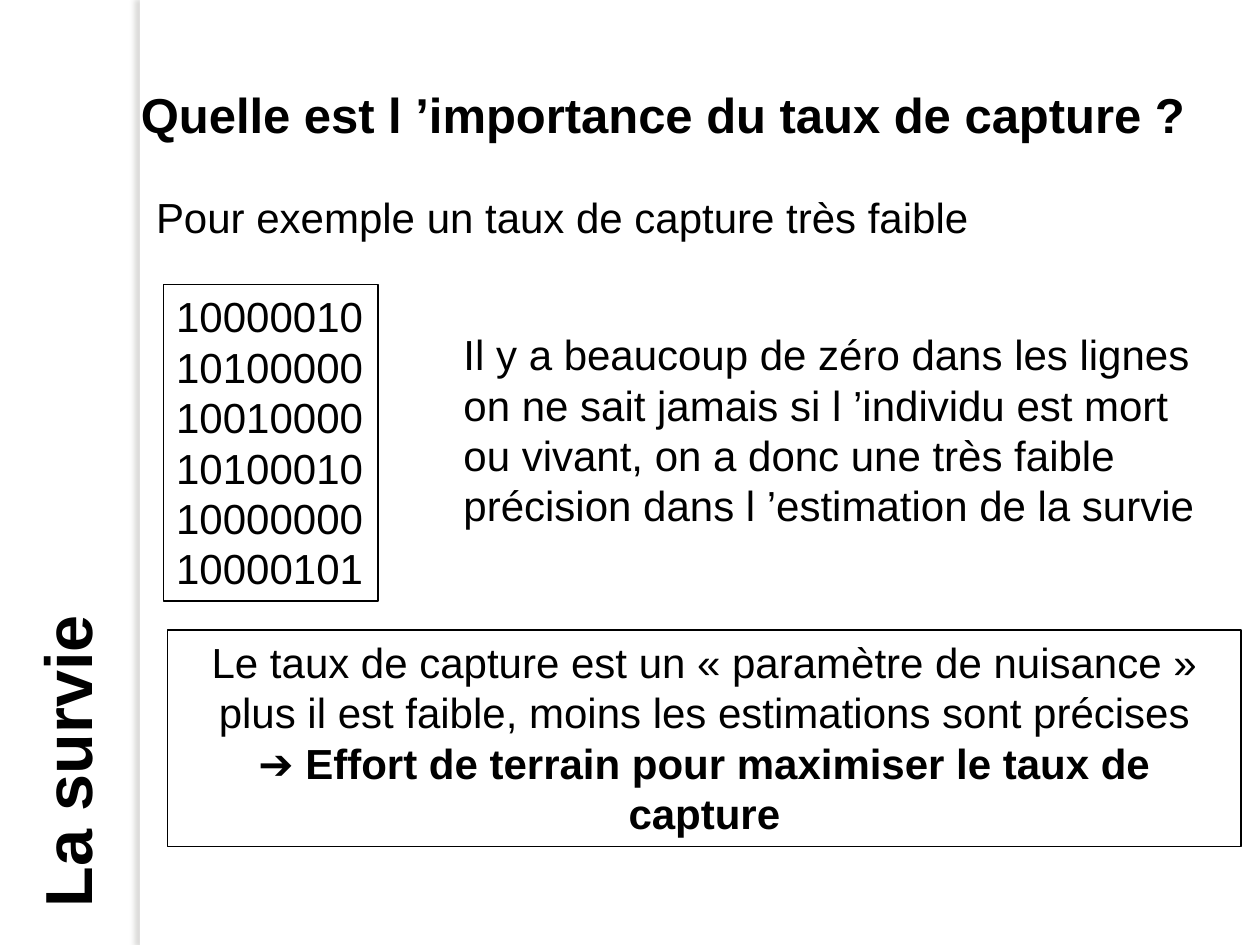
from dataclasses import dataclass

from lxml import etree
from pptx import Presentation, util as u
from pptx.dml.color import RGBColor
from pptx.enum import shapes, text
from pptx.oxml import ns

FONT = "Arial"
BLACK = "000000"
WHITE = "FFFFFF"
SHADE = "77756F"
LEFT = text.PP_ALIGN.LEFT
MID = text.PP_ALIGN.CENTER


@dataclass
class Block:
    """A text block; each line is a list of (words, bold) runs."""
    box: tuple[float, float, float, float]
    lines: list[list[tuple[str, bool]]]
    size: int = 24
    align: text.PP_ALIGN = LEFT
    wrap: bool = True
    frame: bool = False
    turn: int = 0


def paint(target, color: str) -> None:
    target.rgb = RGBColor.from_string(color)


def plain(*lines: str) -> list[list[tuple[str, bool]]]:
    return [[(line, False)] for line in lines]


def draw_bar(slide) -> None:
    """White strip with a soft shadow cast to its left."""
    bar = slide.shapes.add_shape(
        shapes.MSO_SHAPE.RECTANGLE, u.Inches(1.11), 0, u.Inches(0.08), u.Inches(7.5))
    bar.shadow.inherit = False
    bar.fill.solid()
    paint(bar.fill.fore_color, WHITE)
    bar.line.fill.background()
    effects = bar._element.spPr.find(ns.qn("a:effectLst"))
    cast = etree.SubElement(
        effects, ns.qn("a:outerShdw"), blurRad=str(u.Pt(3)), dist=str(u.Pt(3)),
        dir=str(180 * 60000), algn="ctr", rotWithShape="0")
    tone = etree.SubElement(cast, ns.qn("a:srgbClr"), val=SHADE)
    etree.SubElement(tone, ns.qn("a:alpha"), val="25000")


def draw_block(slide, block: Block) -> None:
    shape = slide.shapes.add_textbox(*map(u.Inches, block.box))
    shape.rotation = block.turn
    if block.frame:
        paint(shape.line.color, BLACK)
        shape.line.width = u.Pt(0.75)
    body = shape.text_frame
    body.word_wrap = block.wrap
    body.auto_size = text.MSO_AUTO_SIZE.SHAPE_TO_FIT_TEXT
    body.text = "\n".join("" for _ in block.lines)
    for para, line in zip(body.paragraphs, block.lines):
        para.alignment = block.align
        for words, bold in line:
            run = para.add_run()
            run.text = words
            run.font.name = FONT
            run.font.size = u.Pt(block.size)
            run.font.bold = bold
            paint(run.font.color, BLACK)


BLOCKS = [
    # Example and capture histories
    Block((1.14, 1.47, 8.6, 0.5), plain("Pour exemple un taux de capture très faible")),
    Block((1.3, 2.26, 1.7, 2.51),
          plain("10000010", "10100000", "10010000", "10100010", "10000000", "10000101"),
          wrap=False, frame=True),
    Block((3.58, 2.56, 6.25, 1.72),
          plain("Il y a beaucoup de zéro dans les lignes",
                "on ne sait jamais si l ’individu est mort ou vivant, on a donc "
                "une très faible précision dans l ’estimation de la survie")),
    # Conclusion
    Block((1.33, 5, 8.52, 1.72),
          plain("Le taux de capture est un « paramètre de nuisance »",
                "plus il est faible, moins les estimations sont précises")
          + [[("➔ ", False),
              ("Effort de terrain pour maximiser le taux de capture", True)]],
          align=MID, frame=True),
    # Title and side heading
    Block((1.02, 0.62, 8.7, 0.57),
          [[("Quelle est l ’importance du taux de capture ?", True)]],
          size=28, wrap=False),
    Block((-0.74, 5.66, 2.54, 0.74), [[("La survie", True)]],
          size=38, wrap=False, turn=270),
]


def main() -> None:
    deck = Presentation()
    deck.slide_width, deck.slide_height = u.Inches(10), u.Inches(7.5)
    slide = deck.slides.add_slide(deck.slide_layouts[6])
    draw_bar(slide)
    for block in BLOCKS:
        draw_block(slide, block)
    deck.save("out.pptx")


if __name__ == "__main__":
    main()
